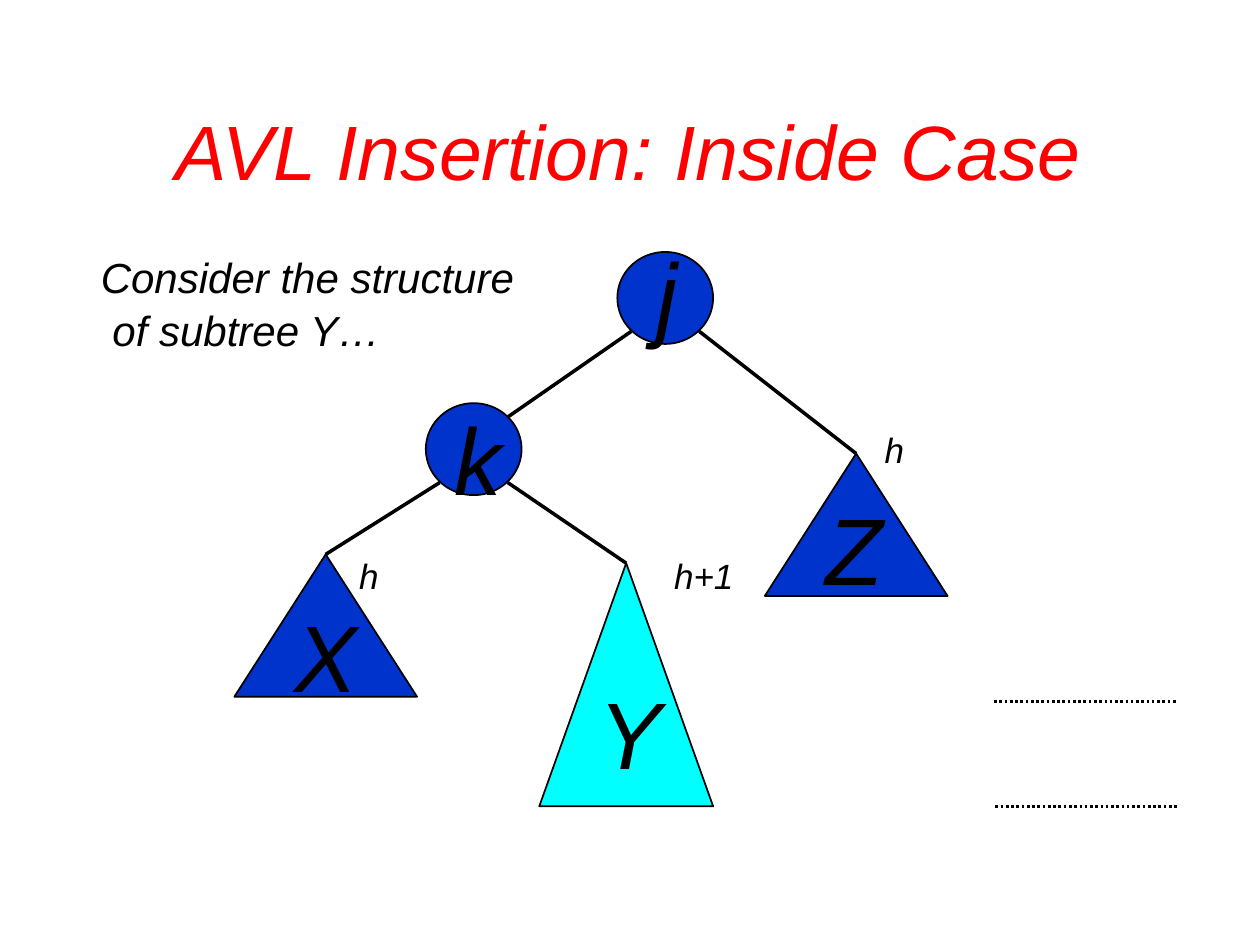
from typing import NamedTuple

from lxml.etree import SubElement
from pptx import Presentation
from pptx.dml.color import RGBColor
from pptx.enum.dml import MSO_LINE
from pptx.enum.shapes import MSO_CONNECTOR, MSO_SHAPE
from pptx.enum.text import MSO_ANCHOR, MSO_AUTO_SIZE, PP_ALIGN
from pptx.oxml.ns import qn
from pptx.util import Inches, Pt

BLACK = RGBColor(0x00, 0x00, 0x00)
RED = RGBColor(0xFF, 0x00, 0x00)
BLUE = RGBColor(0x00, 0x33, 0xCC)
CYAN = RGBColor(0x00, 0xFF, 0xFF)
NODE_SIZE = (0.76, 0.73)
SUBTREE_SIZE = (1.45, 1.13)


class Part(NamedTuple):
    kind: MSO_SHAPE
    left: float
    top: float
    size: tuple[float, float]
    fill: RGBColor = BLUE


class Label(NamedTuple):
    text: str
    left: float
    top: float
    width: float
    height: float
    size: int


class Edge(NamedTuple):
    start: tuple[float, float]
    subtree: str


def draw_part(shapes, part: Part):
    shape = shapes.add_shape(part.kind, Inches(part.left), Inches(part.top),
                             *map(Inches, part.size))
    shape.shadow.inherit = False
    shape.fill.solid()
    shape.fill.fore_color.rgb = part.fill
    shape.line.color.rgb = BLACK
    shape.line.width = Pt(1)
    return shape


def draw_line(shapes, start: tuple[float, float], end: tuple[float, float],
              width: float = 2):
    line = shapes.add_connector(MSO_CONNECTOR.STRAIGHT,
                                *map(Inches, (*start, *end)))
    line.line.color.rgb = BLACK
    line.line.width = Pt(width)
    SubElement(line._element.spPr, qn("a:effectLst"))
    return line


def write_text(box, label: Label, color: RGBColor = BLACK) -> None:
    box.left, box.top = Inches(label.left), Inches(label.top)
    box.width, box.height = Inches(label.width), Inches(label.height)
    frame = box.text_frame
    frame.auto_size = MSO_AUTO_SIZE.NONE
    frame.word_wrap = True
    frame.vertical_anchor = MSO_ANCHOR.TOP
    frame.margin_left = frame.margin_right = frame.margin_bottom = 0
    frame.margin_top = Pt(0.12 * label.size)
    paragraph = frame.paragraphs[0]
    paragraph.text = label.text
    paragraph.alignment = PP_ALIGN.LEFT
    font = paragraph.font
    font.name, font.size, font.italic = "Arial", Pt(label.size), True
    font.color.rgb = color


def draw_label(shapes, label: Label):
    box = shapes.add_textbox(0, 0, 0, 0)
    write_text(box, label)
    return box


TITLE = Label("AVL Insertion: Inside Case", 1.39, 0.75, 7.22, 0.76, 44)
NOTE = Label("Consider the structure\v of subtree Y…", 0.8, 1.94, 3.31, 0.83, 24)
NODES = [
    Part(MSO_SHAPE.OVAL, 4.9, 2, NODE_SIZE),
    Part(MSO_SHAPE.OVAL, 3.38, 3.2, NODE_SIZE),
]
SUBTREES = {
    "X": Part(MSO_SHAPE.ISOSCELES_TRIANGLE, 1.86, 4.4, SUBTREE_SIZE),
    "Y": Part(MSO_SHAPE.ISOSCELES_TRIANGLE, 4.28, 4.47, (1.38, 1.93), CYAN),
    "Z": Part(MSO_SHAPE.ISOSCELES_TRIANGLE, 6.07, 3.6, SUBTREE_SIZE),
}
SUBTREE_EDGES = [
    Edge((3.49, 3.83), "X"),
    Edge((4.03, 3.83), "Y"),
    Edge((5.55, 2.63), "Z"),
]
NAMES = [
    Label("j", 5.21, 1.78, 0.19, 0.93, 54),
    Label("k", 3.61, 3.09, 0.4, 0.93, 54),
    Label("X", 2.34, 4.66, 0.53, 0.93, 54),
    Label("Y", 4.75, 5.27, 0.53, 0.93, 54),
    Label("Z", 6.55, 3.81, 0.53, 0.93, 54),
]
HEIGHTS = [
    Label("h", 2.85, 4.37, 0.18, 0.36, 20),
    Label("h+1", 5.35, 4.37, 0.5, 0.36, 20),
    Label("h", 7.02, 3.37, 0.18, 0.36, 20),
]
LEVEL_MARKS = [(7.89, 5.57), (7.9, 6.4)]


def main() -> None:
    deck = Presentation()
    deck.slide_width, deck.slide_height = Inches(10), Inches(7.5)
    slide = deck.slides.add_slide(deck.slide_layouts[5])
    shapes = slide.shapes

    # Title and note
    write_text(shapes.title, TITLE, RED)
    shapes.title.text_frame.word_wrap = False
    note = draw_label(shapes, NOTE)
    note.text_frame.paragraphs[0].line_spacing = 1.05

    # Tree: nodes, subtrees and the edges between them
    for node in NODES:
        draw_part(shapes, node)
    subtrees = {name: draw_part(shapes, part) for name, part in SUBTREES.items()}
    draw_line(shapes, (5.01, 2.63), (4.03, 3.31))
    for edge in SUBTREE_EDGES:
        draw_line(shapes, edge.start, edge.start).end_connect(
            subtrees[edge.subtree], 0)

    # Dotted level marks
    for left, top in LEVEL_MARKS:
        mark = draw_line(shapes, (left, top), (left + 1.45, top), 1.5)
        mark.line.dash_style = MSO_LINE.ROUND_DOT

    # Names and subtree heights
    for label in NAMES + HEIGHTS:
        draw_label(shapes, label)

    deck.save("out.pptx")


if __name__ == "__main__":
    main()
